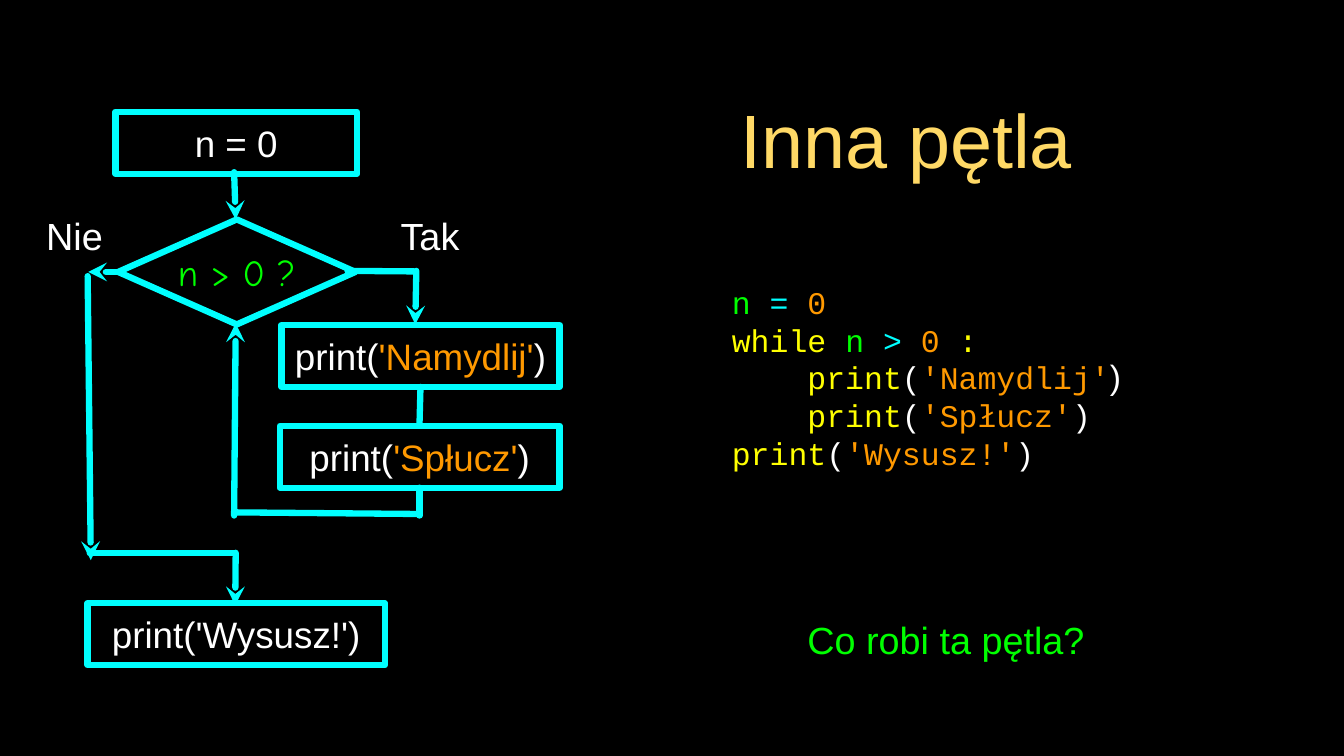
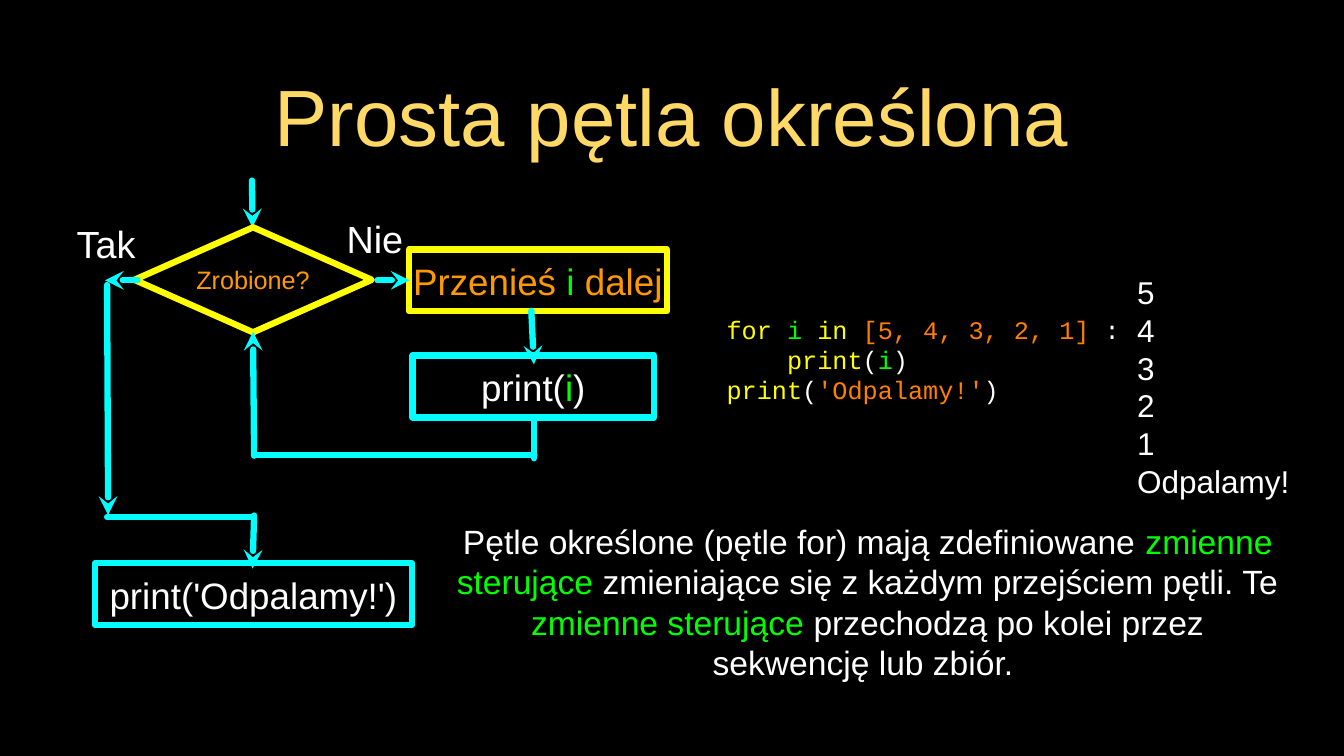
"""Build two slides on while and for loops, each with a flowchart and its code."""
from lxml import etree
from pptx import Presentation
from pptx.dml.color import RGBColor
from pptx.enum.shapes import MSO_CONNECTOR, MSO_SHAPE
from pptx.enum.text import MSO_ANCHOR, PP_ALIGN
from pptx.oxml.ns import qn
from pptx.util import Pt

RECT, DIAMOND = MSO_SHAPE.RECTANGLE, MSO_SHAPE.DIAMOND
STRAIGHT = MSO_CONNECTOR.STRAIGHT
MIDDLE = MSO_ANCHOR.MIDDLE
LEFT, CENTER = PP_ALIGN.LEFT, PP_ALIGN.CENTER

BLACK = RGBColor(0x00, 0x00, 0x00)
WHITE = RGBColor(0xFF, 0xFF, 0xFF)
GOLD = RGBColor(0xFF, 0xD9, 0x66)
CYAN = RGBColor(0x00, 0xFF, 0xFF)
GREEN = RGBColor(0x00, 0xFF, 0x00)
YELLOW = RGBColor(0xFF, 0xFF, 0x00)
ORANGE = RGBColor(0xFF, 0x99, 0x00)
DEEP_ORANGE = RGBColor(0xFF, 0x7F, 0x00)

SANS, MONO, COMIC = "Arial", "Courier New", "Comic Neue"
STROKE = 6
BOX_H, LABEL_H = 59, 49
DIAMOND_W, DIAMOND_H = 226, 100


def add_text(s, box, paragraphs, size, font=SANS, align=CENTER, shape=None,
             outline=CYAN, indented=()):
    box = [Pt(v) for v in box]
    if shape is None:
        sp = s.shapes.add_textbox(*box)
    else:
        sp = s.shapes.add_shape(shape, *box)
        sp.shadow.inherit = False
        sp.fill.background()
        sp.line.color.rgb = outline
        sp.line.width = Pt(STROKE)
        etree.SubElement(sp.line._get_or_add_ln(), qn("a:round"))
    tf = sp.text_frame
    tf.word_wrap = shape != DIAMOND
    tf.vertical_anchor = MIDDLE
    tf.margin_left = tf.margin_right = tf.margin_top = tf.margin_bottom = 0
    for i, runs in enumerate(paragraphs):
        p = tf.paragraphs[0] if i == 0 else tf.add_paragraph()
        p.alignment = align
        p.line_spacing = Pt(1.2 * size)
        p.font.name, p.font.size = font, Pt(size)
        if i in indented:
            p._p.get_or_add_pPr().set("marL", str(Pt(4 * 0.6 * size)))
        for text, color in runs:
            r = p.add_run()
            r.text = text
            r.font.color.rgb = color
    return tf


def add_line(s, x1, y1, x2, y2, arrow=False):
    cn = s.shapes.add_connector(STRAIGHT, Pt(x1), Pt(y1), Pt(x2), Pt(y2))
    cn.line.color.rgb = CYAN
    cn.line.width = Pt(STROKE)
    ln = cn.line._get_or_add_ln()
    ln.set("cap", "rnd")
    etree.SubElement(ln, qn("a:round"))
    if arrow:
        etree.SubElement(ln, qn("a:tailEnd"), type="stealth")
    etree.SubElement(cn._element.spPr, qn("a:effectLst"))


prs = Presentation()
prs.slide_width, prs.slide_height = Pt(1280), Pt(720)
fill = prs.slide_master.background.fill
fill.solid()
fill.fore_color.rgb = BLACK
blank = prs.slide_layouts[6]

s = prs.slides.add_slide(blank)
add_text(s, (538, 64, 650, 135.5), [[("Inna pętla", GOLD)]], 72)
tf = add_text(s, (697, 250.5, 395, 218), [
    [("n ", GREEN), ("= ", CYAN), ("0", ORANGE)],
    [("while ", YELLOW), ("n ", GREEN), ("> ", CYAN), ("0", ORANGE), (" :", YELLOW)],
    [("print", YELLOW), ("(", WHITE), ("'Namydlij'", ORANGE), (")", WHITE)],
    [("print", YELLOW), ("(", WHITE), ("'Spłucz'", ORANGE), (")", WHITE)],
    [("print", YELLOW), ("(", WHITE), ("'Wysusz!'", ORANGE), (")", WHITE)],
], 30, MONO, LEFT, indented=(2, 3))
r = tf.paragraphs[2].runs[-1]
r.font.name, r.font.size = SANS, Pt(32)

add_line(s, 223, 164, 224.5, 209, True)
add_text(s, (112.5, 209, DIAMOND_W, DIAMOND_H), [[("n > 0 ?", GREEN)]], 35, COMIC,
         shape=DIAMOND)
for line in [
    (223, 491, 224.5, 308, True),
    (395.5, 258.5, 331, 258),
    (396.5, 258, 395.5, 309, True),
    (399.5, 464.5, 399.5, 491),
    (224.5, 488, 396.5, 489.5),
    (115, 259, 84, 259, True),
    (224.5, 526.5, 224, 576.5, True),
    (83.5, 263, 86.5, 533.5, True),
    (85.5, 527, 223, 527),
    (400.5, 368.5, 399.5, 405.5),
]:
    add_line(s, *line)
for x, y, w, runs in [
    (83.5, 574.5, 283, [("print('Wysusz!')", WHITE)]),
    (110, 106.5, 230, [("n = 0", WHITE)]),
    (268, 309.5, 265, [("print(", WHITE), ("'Namydlij'", ORANGE), (")", WHITE)]),
    (266.5, 405.5, 266.5, [("print(", WHITE), ("'Spłucz'", ORANGE), (")", WHITE)]),
]:
    add_text(s, (x, y, w, BOX_H), [runs], 35, shape=RECT)
for x, y, w, text, color in [
    (42.5, 199.5, 57, "Nie", WHITE),
    (367, 199.5, 85, "Tak", WHITE),
    (653, 584, 496, "Co robi ta pętla?", GREEN),
]:
    add_text(s, (x, y, w, LABEL_H), [[(text, color)]], 36)

s = prs.slides.add_slide(blank)
add_text(s, (90.5, 64, 1097.5, 89.5), [[("Prosta pętla określona", GOLD)]], 76)
add_text(s, (692, 277, 402, 131), [
    [("for ", YELLOW), ("i ", GREEN), ("in ", YELLOW),
     ("[5, 4, 3, 2, 1] ", DEEP_ORANGE), (":", WHITE)],
    [("print", YELLOW), ("(", WHITE), ("i", GREEN), (")", WHITE)],
    [("print", YELLOW), ("(", WHITE), ("'Odpalamy!'", DEEP_ORANGE), (")", WHITE)],
], 24, MONO, LEFT, indented=(1,))
output = ["5", "4", "3", "2", "1", "Odpalamy!"]
add_text(s, (1083, 241, 163.5, 254), [[(text, WHITE)] for text in output], 30,
         align=LEFT)

add_line(s, 240, 172, 240.5, 216.5, True)
add_text(s, (128, 216.5, DIAMOND_W, DIAMOND_H), [[("Zrobione?", ORANGE)]], 24,
         shape=DIAMOND, outline=YELLOW)
for x, y, w, outline, runs in [
    (90.5, 536.5, 302, CYAN, [("print('Odpalamy!')", WHITE)]),
    (393, 338.5, 230, CYAN, [("print(", WHITE), ("i", GREEN), (")", WHITE)]),
    (389.5, 237.5, 245.5, YELLOW,
     [("Przenieś ", ORANGE), ("i", GREEN), (" dalej", ORANGE)]),
]:
    add_text(s, (x, y, w, BOX_H), [runs], 35, shape=RECT, outline=outline)
for line in [
    (242, 434, 241, 316, True),
    (506, 296, 508.5, 347, True),
    (508.5, 397.5, 508.5, 436.5),
    (242, 433.5, 509, 433.5),
    (131, 267, 100, 267, True),
    (242, 491, 240.5, 541.5, True),
    (102, 271.5, 103, 490.5, True),
    (102, 492.5, 240.5, 492.5),
    (359.5, 267, 390, 267, True),
]:
    add_line(s, *line)
for x, y, w, text in [(54.5, 207.5, 93, "Tak"), (328.5, 202.5, 57, "Nie")]:
    add_text(s, (x, y, w, LABEL_H), [[(text, WHITE)]], 36)
add_text(s, (427.5, 507.5, 798, 131), [[
    ("Pętle określone (pętle for) mają zdefiniowane ", WHITE),
    ("zmienne sterujące ", GREEN),
    ("zmieniające się z każdym przejściem pętli. Te ", WHITE),
    ("zmienne sterujące ", GREEN),
    ("przechodzą po kolei przez sekwencję lub zbiór. ", WHITE),
]], 32)

prs.save("out.pptx")
